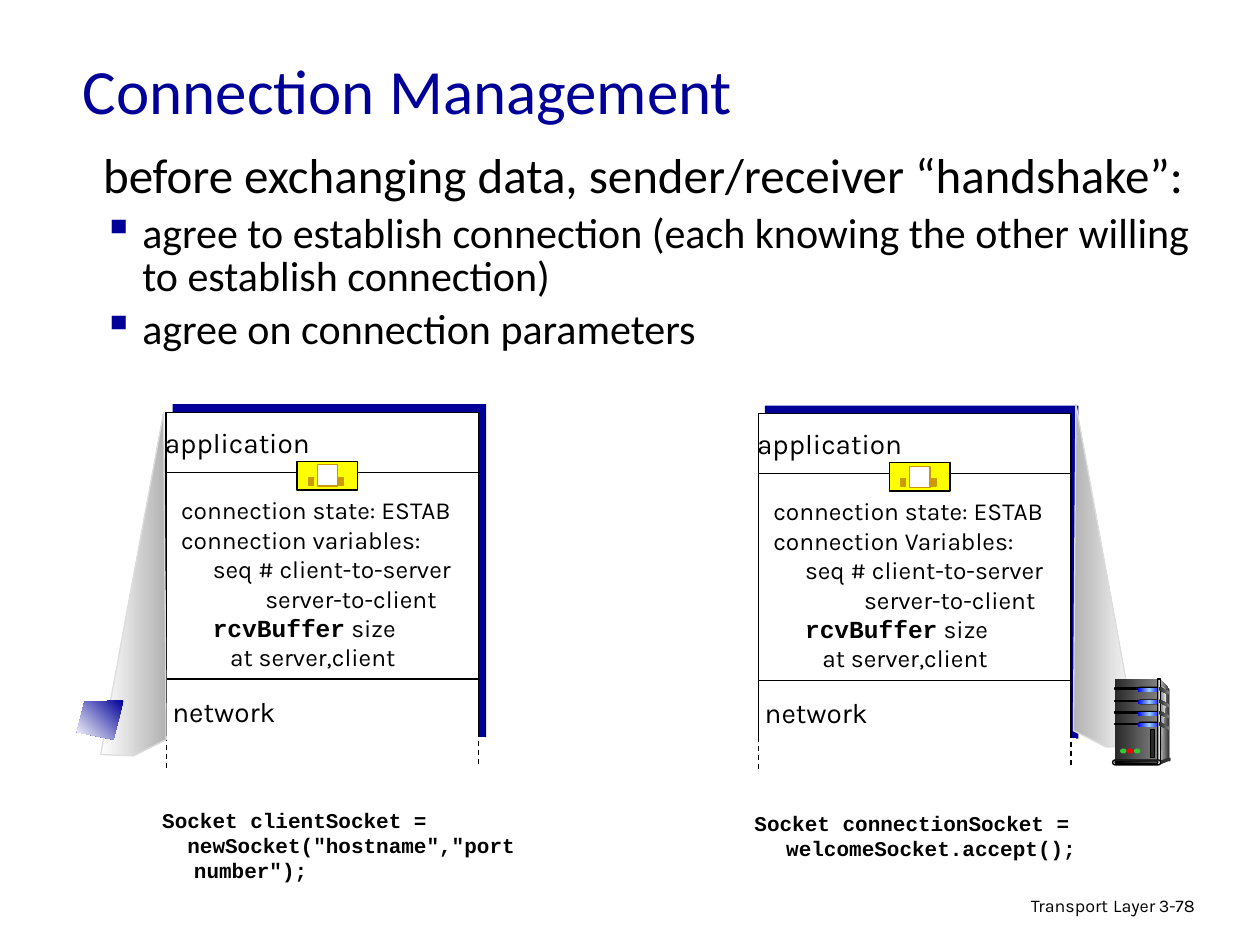
"""Build the slide on connection management."""
from lxml import etree
from pptx import Presentation
from pptx.dml.color import RGBColor
from pptx.enum.dml import MSO_LINE
from pptx.enum.shapes import MSO_CONNECTOR, MSO_SHAPE
from pptx.enum.text import MSO_ANCHOR, PP_ALIGN
from pptx.oxml.ns import qn
from pptx.util import Cm, Pt

RECT, PILL, OVAL = MSO_SHAPE.RECTANGLE, MSO_SHAPE.ROUNDED_RECTANGLE, MSO_SHAPE.OVAL
LINE, DASH = MSO_CONNECTOR.STRAIGHT, MSO_LINE.DASH
LEFT, MID, RIGHT = PP_ALIGN.LEFT, PP_ALIGN.CENTER, PP_ALIGN.RIGHT
TOP, CENTRE = MSO_ANCHOR.TOP, MSO_ANCHOR.MIDDLE

BLACK, WHITE = RGBColor(0, 0, 0), RGBColor(255, 255, 255)
NAVY, BLUE, SKY = RGBColor(0, 0, 0x99), RGBColor(0, 0, 255), RGBColor(0x99, 0xCC, 255)
YELLOW, OCHRE = RGBColor(255, 255, 0), RGBColor(0xCC, 0x99, 0)
GREEN, RED = RGBColor(0x33, 0xCC, 0x33), RGBColor(255, 0, 0)
COAL, DARK, GREY = RGBColor(0x29, 0x29, 0x29), RGBColor(0x33, 0x33, 0x33), RGBColor(0x80, 0x80, 0x80)
ASH, PALE, MIST = RGBColor(0xB2, 0xB2, 0xB2), RGBColor(0xDD, 0xDD, 0xDD), RGBColor(0xF8, 0xF8, 0xF8)
SANS, BODY, MONO = "Calibri", "Karla", "Courier New"

TITLE = "Connection Management"
INTRO = "before exchanging data, sender/receiver “handshake”:"
POINTS = ["agree to establish connection (each knowing the other willing to establish connection)",
          "agree on connection parameters"]
HOSTS = [
    dict(dx=0, dy=0, vars="connection variables:", pad=0.67,
         cone=[(0.8, 5.99), (1.3, 3.27), (1.32, 5.87), (1.06, 6)], shade=[WHITE, ASH],
         code=["Socket clientSocket =", '  newSocket("hostname","port number");']),
    dict(dx=4.7, dy=0.01, vars="connection Variables:", pad=0.72,
         cone=[(9.03, 5.92), (8.54, 3.21), (8.52, 5.8), (8.78, 5.93)], shade=[ASH, WHITE],
         code=["Socket connectionSocket = welcomeSocket.accept();"]),
]
SLOTS = [5.45, 5.55, 5.64, 5.73]
LAMPS = [(8.89, GREEN), (8.94, RED), (9, GREEN)]


def inch(n):
    return Cm(round(n * 2.54, 2))


def paint(shape, fill, line=None, turn=0):
    shape.shadow.inherit = False
    if isinstance(fill, list):
        shape.fill.gradient()
        grad = shape._element.spPr.find(qn("a:gradFill"))
        stops = grad.find(qn("a:gsLst"))
        for old in list(stops):
            stops.remove(old)
        for i, tone in enumerate(fill):
            stop = etree.SubElement(stops, qn("a:gs"), pos=str(i * 100000 // (len(fill) - 1)))
            etree.SubElement(stop, qn("a:srgbClr"), val=str(tone))
        slant = grad.find(qn("a:lin"))
        slant.set("ang", str(turn * 60000))
        slant.set("scaled", "0")
    else:
        shape.fill.solid()
        shape.fill.fore_color.rgb = fill
    if line is None:
        shape.line.fill.background()
    else:
        shape.line.color.rgb = line
        shape.line.width = Pt(0.75)


def block(root, kind, x, y, w, h, fill, line=None):
    shape = root.add_shape(kind, inch(x), inch(y), inch(w), inch(h))
    if kind == PILL:
        shape.adjustments[0] = 0.5
    paint(shape, fill, line)


def poly(root, spots, fill, line=None, turn=0):
    spots = [(inch(x), inch(y)) for x, y in spots]
    form = root.build_freeform(*spots[0])
    form.add_line_segments(spots[1:], close=True)
    paint(form.convert_to_shape(), fill, line, turn)


def rule(root, x1, y1, x2, y2, dash=None):
    line = root.add_connector(LINE, inch(x1), inch(y1), inch(x2), inch(y2))
    line.line.color.rgb = BLACK
    line.line.width = Pt(0.75)
    if dash:
        line.line.dash_style = dash
    etree.SubElement(line._element.spPr, qn("a:effectLst"))


def box(root, x, y, w, h, wrap=True, anchor=TOP):
    frame = root.add_textbox(inch(x), inch(y), inch(w), inch(h)).text_frame
    frame.word_wrap = wrap
    frame.vertical_anchor = anchor
    return frame


def para(frame, runs, align=LEFT, left=0, hang=0, mark=None, space=None, before=None):
    first = frame.paragraphs[0]
    item = frame.add_paragraph() if first.runs else first
    props = item._p.get_or_add_pPr()
    props.set("marL", str(inch(left)))
    props.set("indent", str(inch(hang)))
    if mark:
        tint = etree.SubElement(props, qn("a:buClr"))
        etree.SubElement(tint, qn("a:srgbClr"), val=str(NAVY))
        etree.SubElement(props, qn("a:buChar"), char=mark)
    item.alignment = align
    if space:
        item.line_spacing = space
    if before:
        item.space_before = Pt(before)
    for text, font, size, bold, tone in runs:
        run = item.add_run()
        run.text = text
        run.font.name, run.font.size, run.font.bold = font, Pt(size), bold
        run.font.color.rgb = tone


def plain(text, font=BODY, size=14, bold=False, tone=BLACK):
    return text, font, size, bold, tone


def host(root, dx, dy, vars, pad, cone, shade, code):
    block(root, RECT, 1.37 + dx, 3.21 + dy, 2.49, 2.64, NAVY)
    block(root, RECT, 1.32 + dx, 3.27 + dy, 2.48, 2.7, WHITE, BLACK)
    for y in (3.75, 5.39):
        rule(root, 1.32 + dx, y + dy, 3.81 + dx, y + dy)
    state = box(root, 1.34 + dx, 3.88 + dy, 2.55, 1.74)
    rows = [(0, [plain("connection state: ESTAB")]),
            (0, [plain(vars)]),
            (0.25, [plain("seq # client-to-server")]),
            (pad, [plain("server-to-client")]),
            (0.25, [plain("rcvBuffer", MONO, bold=True), plain(" size")]),
            (0.39, [plain("at server,client")])]
    for left, runs in rows:
        para(state, runs, left=left)
    plug = root.add_group_shape().shapes
    block(plug, RECT, 2.36 + dx, 3.66 + dy, 0.48, 0.23, YELLOW, BLACK)
    block(plug, RECT, 2.52 + dx, 3.69 + dy, 0.16, 0.17, WHITE, OCHRE)
    for x in (2.45, 2.69):
        block(plug, RECT, x + dx, 3.79 + dy, 0.04, 0.06, OCHRE, OCHRE)
    for text, x, y, w in (("application", 1.21, 3.33, 1.35), ("network", 1.25, 5.46, 1.06)):
        para(box(root, x + dx, y + dy, w, 0.37, wrap=False), [plain(text, size=16)], MID)
    block(root, RECT, 1.29 + dx, 5.85 + dy, 2.55, 0.2, WHITE)
    for x, y in ((1.32, 5.84), (3.8, 5.81)):
        rule(root, x + dx, y + dy, x + dx, y + dy + 0.26, DASH)
    poly(root, cone, shade, PALE)
    call = box(root, 1.19 + dx, 6.36 + 2 * dy, 3.16, 0.7)
    for text in code:
        para(call, [plain(text, MONO, 12, True)], left=0.25, hang=-0.25)


def tower(root):
    poly(root, [(9.21, 5.39), (9.28, 5.47), (9.28, 6.01), (9.19, 6.04)], [PALE, DARK])
    block(root, RECT, 8.85, 5.39, 0.34, 0.65, [COAL, GREY])
    poly(root, [(9.21, 5.43), (9.26, 5.48), (9.23, 5.8), (9.21, 6.02)], [GREY, MIST])
    for y in SLOTS:
        block(root, RECT, 8.85, y + 0.01, 0.19, 0.01, BLACK, BLACK)
        block(root, PILL, 9.03, y, 0.19, 0.04, BLACK)
        block(root, PILL, 9.03, y + 0.01, 0.18, 0.03, [BLUE, SKY, BLUE])
    block(root, RECT, 9.19, 5.39, 0.02, 0.65, [DARK, PALE, DARK], BLACK)
    for y in SLOTS:
        poly(root, [(9.2, y), (9.28, y + 0.04), (9.28, y + 0.06), (9.2, y + 0.03)], [COAL, GREY])
    block(root, OVAL, 9.27, 6.01, 0.02, 0.03, DARK)
    poly(root, [(9.2, 6.04), (9.2, 6.07), (9.28, 6.04), (9.28, 6.01)], DARK)
    block(root, PILL, 8.83, 6.03, 0.38, 0.04, PALE, BLACK)
    block(root, PILL, 8.85, 6.04, 0.34, 0.02, [BLACK, GREY], BLACK)
    for x, tone in LAMPS:
        block(root, OVAL, x, 5.94, 0.05, 0.04, tone)
    block(root, RECT, 9.13, 5.79, 0.03, 0.22, COAL, BLACK)


def main():
    deck = Presentation()
    deck.slide_width, deck.slide_height = Cm(25.4), Cm(19.05)
    root = deck.slides.add_slide(deck.slide_layouts[6]).shapes
    foot = [plain("Transport", size=10.2), plain(" ", size=11.9), plain("Layer", size=10.2)]
    para(box(root, 6.1, 7.05, 3.17, 0.31), foot, RIGHT, space=0.9)
    para(box(root, 9.1, 7.07, 0.74, 0.3), [plain("3-78", size=10.2)], space=0.9)
    para(box(root, 0.56, 0.21, 8.5, 1, anchor=CENTRE), [plain(TITLE, SANS, 36, tone=NAVY)])
    body = box(root, 0.72, 1.17, 9.12, 2.39)
    para(body, [plain(INTRO, SANS, 28)], left=0.31, hang=-0.31, space=0.85)
    for text in POINTS:
        para(body, [plain(text, SANS, 24)], left=0.31, hang=-0.31, mark="▪", space=0.85, before=6)
    for side in HOSTS:
        host(root, **side)
    poly(root, [(0.98, 5.56), (0.67, 5.57), (0.61, 5.81), (0.9, 5.87)], [NAVY, WHITE], turn=135)
    tower(root.add_group_shape().shapes)
    deck.save("out.pptx")


if __name__ == "__main__":
    main()
